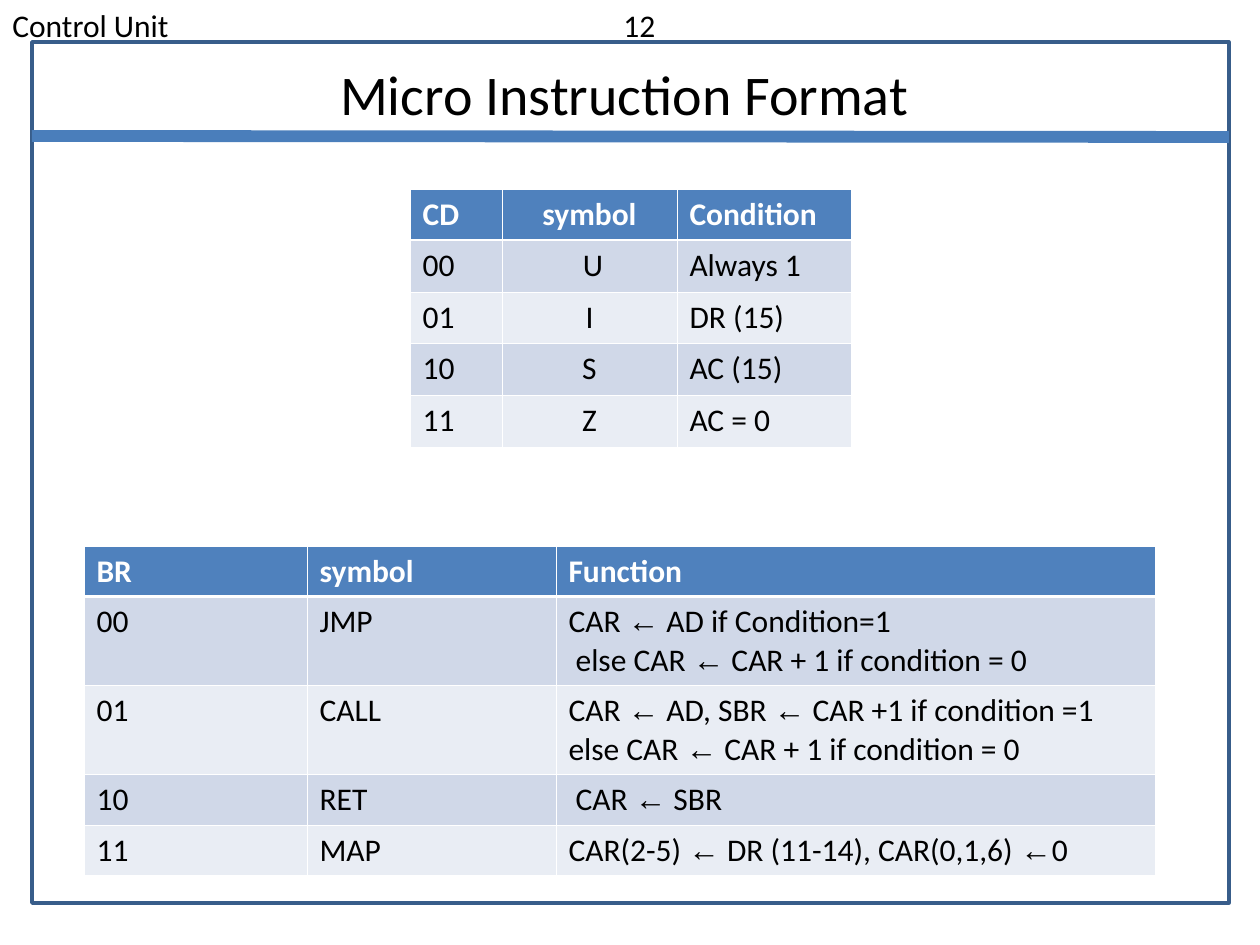
"""Build the Micro Instruction Format slide with its CD and BR code tables."""
from itertools import groupby

from lxml import etree
from pptx import Presentation
from pptx.dml.color import RGBColor
from pptx.enum.shapes import MSO_CONNECTOR, MSO_SHAPE
from pptx.enum.text import MSO_ANCHOR, MSO_AUTO_SIZE, PP_ALIGN
from pptx.oxml.ns import qn
from pptx.util import Emu, Pt

LEFT, CENTER = PP_ALIGN.LEFT, PP_ALIGN.CENTER
TOP = MSO_ANCHOR.TOP
NO_FIT = MSO_AUTO_SIZE.NONE
RECT = MSO_SHAPE.RECTANGLE
STRAIGHT = MSO_CONNECTOR.STRAIGHT

SCALE = 914400 / 126
ARROW = "←"
BLACK, WHITE = "000000", "FFFFFF"
HEADER, BANDS = "4F81BD", ("E9EDF4", "D0D8E8")
THIN, THICK = Pt(0.45), Pt(1.47)

CD_ROWS = [
    ("CD", "symbol", "Condition"),
    ("00", " U", "Always 1"),
    ("01", "I", "DR (15)"),
    ("10", "S", "AC (15)"),
    ("11", "Z", "AC = 0"),
]
BR_ROWS = [
    ("BR", "symbol", "Function"),
    ("00", "JMP", "CAR ← AD if Condition=1\n else CAR ← CAR + 1 if condition = 0"),
    ("01", "CALL", "CAR ← AD, SBR ← CAR +1 if condition =1 else CAR ← CAR + 1 if condition = 0"),
    ("10", "RET", " CAR ← SBR"),
    ("11", "MAP", "CAR(2-5) ← DR (11-14), CAR(0,1,6) ←0"),
]


def px(n):
    return Emu(round(n * SCALE))


def rgb(value):
    return RGBColor.from_string(value)


class SlideBuilder:
    def __init__(self, prs):
        self.s = prs.slides.add_slide(prs.slide_layouts[5])
        self.font, self.symbol_font = "Calibri", "Arial"

    def add_text(self, tf, text, size=18, color=BLACK, bold=False, align=LEFT):
        for i, line in enumerate(text.split("\n")):
            p = tf.add_paragraph() if i else tf.paragraphs[0]
            p.alignment = align
            for is_arrow, chars in groupby(line, lambda c: c == ARROW):
                r = p.add_run()
                r.text = "".join(chars)
                r.font.name = self.symbol_font if is_arrow else self.font
                r.font.size = Pt(size)
                r.font.bold = bold
                r.font.color.rgb = rgb(color)

    def title(self, text, x, y, w, h):
        sp = self.s.shapes.title
        sp.left, sp.top, sp.width, sp.height = map(px, (x, y, w, h))
        tf = sp.text_frame
        tf.auto_size = NO_FIT
        tf.vertical_anchor = TOP
        self.add_text(tf, text, size=32, align=CENTER)

    def header(self, text, x, y, w, h, tab):
        sp = self.s.shapes.add_textbox(*map(px, (x, y, w, h)))
        tf = sp.text_frame
        tf.word_wrap = True
        tabs = etree.SubElement(tf.paragraphs[0]._p.get_or_add_pPr(), qn("a:tabLst"))
        etree.SubElement(tabs, qn("a:tab"), pos=str(px(tab)), algn="l")
        self.add_text(tf, text)

    def frame(self, x, y, w, h, color, weight):
        sp = self.s.shapes.add_shape(RECT, *map(px, (x, y, w, h)))
        sp.shadow.inherit = False
        sp.fill.background()
        sp.line.color.rgb = rgb(color)
        sp.line.width = Pt(weight)

    def rule(self, x1, y1, x2, y2, color, weight):
        line = self.s.shapes.add_connector(STRAIGHT, *map(px, (x1, y1, x2, y2)))
        line.line.color.rgb = rgb(color)
        line.line.width = Pt(weight)
        etree.SubElement(line._element.spPr, qn("a:effectLst"))

    def borders(self, cell, row):
        tc_pr = cell._tc.get_or_add_tcPr()
        widths = {"L": THIN, "R": THIN,
                  "T": THICK if row == 1 else THIN,
                  "B": THICK if row == 0 else THIN}
        for side, width in widths.items():
            ln = etree.SubElement(tc_pr, qn(f"a:ln{side}"), w=str(width))
            fill = etree.SubElement(ln, qn("a:solidFill"))
            etree.SubElement(fill, qn("a:srgbClr"), val=WHITE)

    def table(self, rows, x, y, widths, heights, aligns):
        box = map(px, (x, y, sum(widths), sum(heights)))
        table = self.s.shapes.add_table(len(rows), len(widths), *box).table
        table.first_row = table.horz_banding = False
        for col, width in zip(table.columns, widths):
            col.width = px(width)
        for i, (values, height) in enumerate(zip(rows, heights)):
            table.rows[i].height = px(height)
            head = i == 0
            for j, (text, align) in enumerate(zip(values, aligns)):
                cell = table.cell(i, j)
                self.borders(cell, i)
                cell.fill.solid()
                cell.fill.fore_color.rgb = rgb(HEADER if head else BANDS[i % 2])
                self.add_text(cell.text_frame, text, color=WHITE if head else BLACK,
                              bold=head, align=align)


def main():
    prs = Presentation()
    prs.slide_width, prs.slide_height = px(1260), px(945)
    b = SlideBuilder(prs)
    b.frame(32, 42, 1197, 861, "385D8A", 2)
    b.header("Control Unit\t12", 0, 0, 1260, 52, tab=611)
    b.rule(32, 136, 1229, 137, "4A7EBB", 6.75)
    b.title("Micro Instruction Format", 94, 53, 1061, 81)
    b.table(CD_ROWS, 410, 189, (92, 175, 174), (51, 52, 51, 52, 52), (LEFT, CENTER, LEFT))
    b.table(BR_ROWS, 84, 546, (223, 249, 599), (50, 89, 89, 50, 50), (LEFT, LEFT, LEFT))
    prs.save("out.pptx")


if __name__ == "__main__":
    main()
